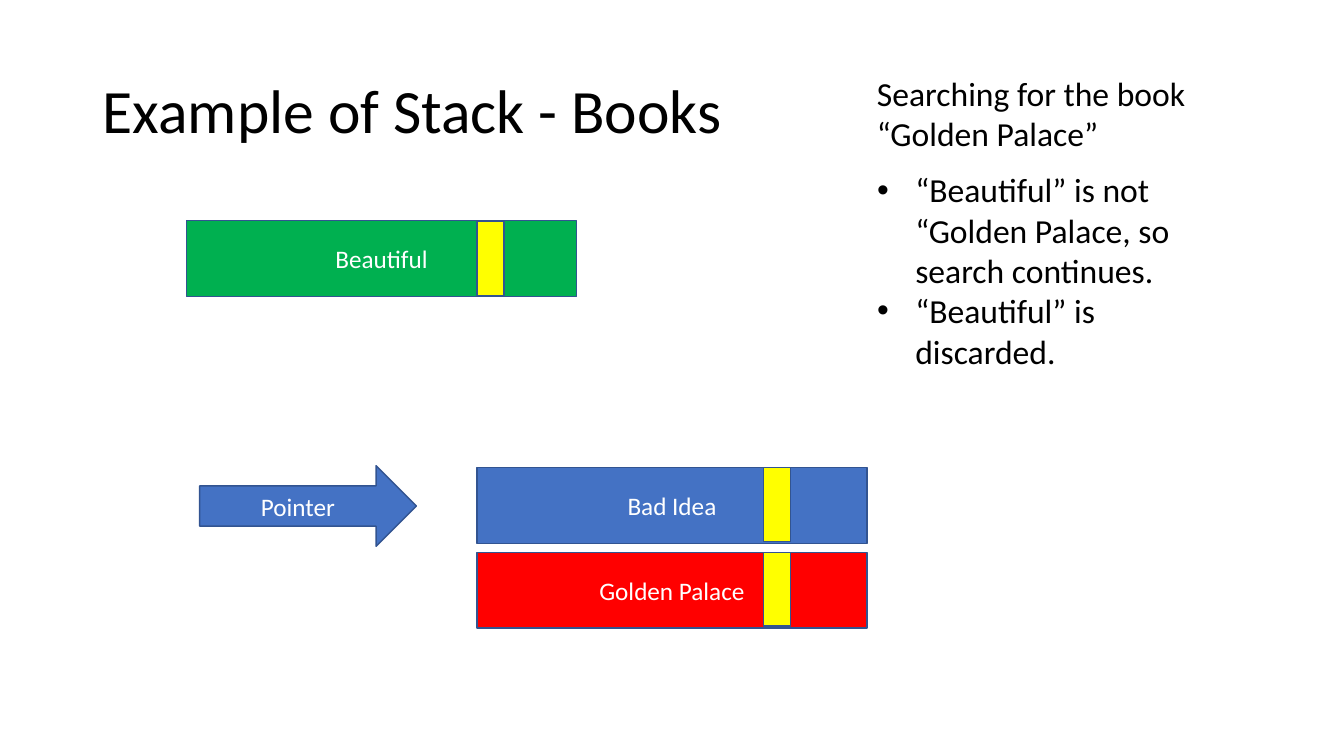
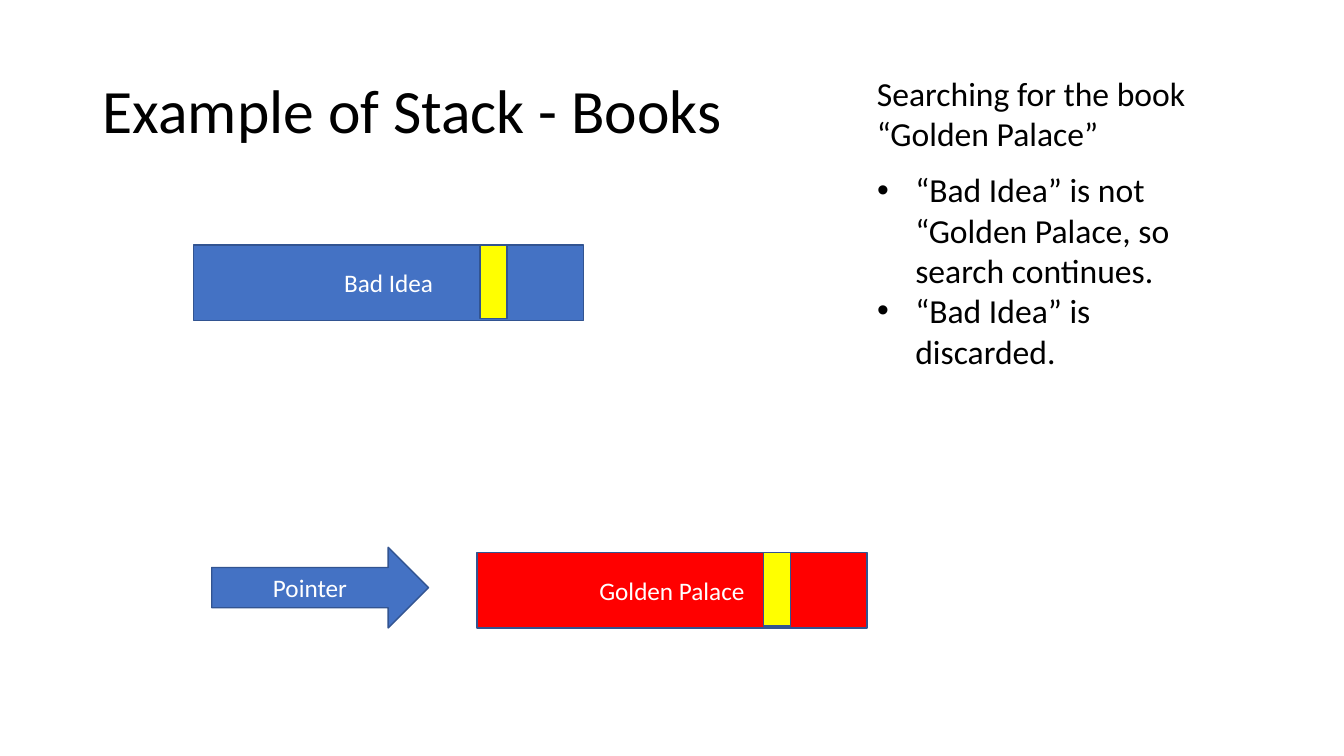
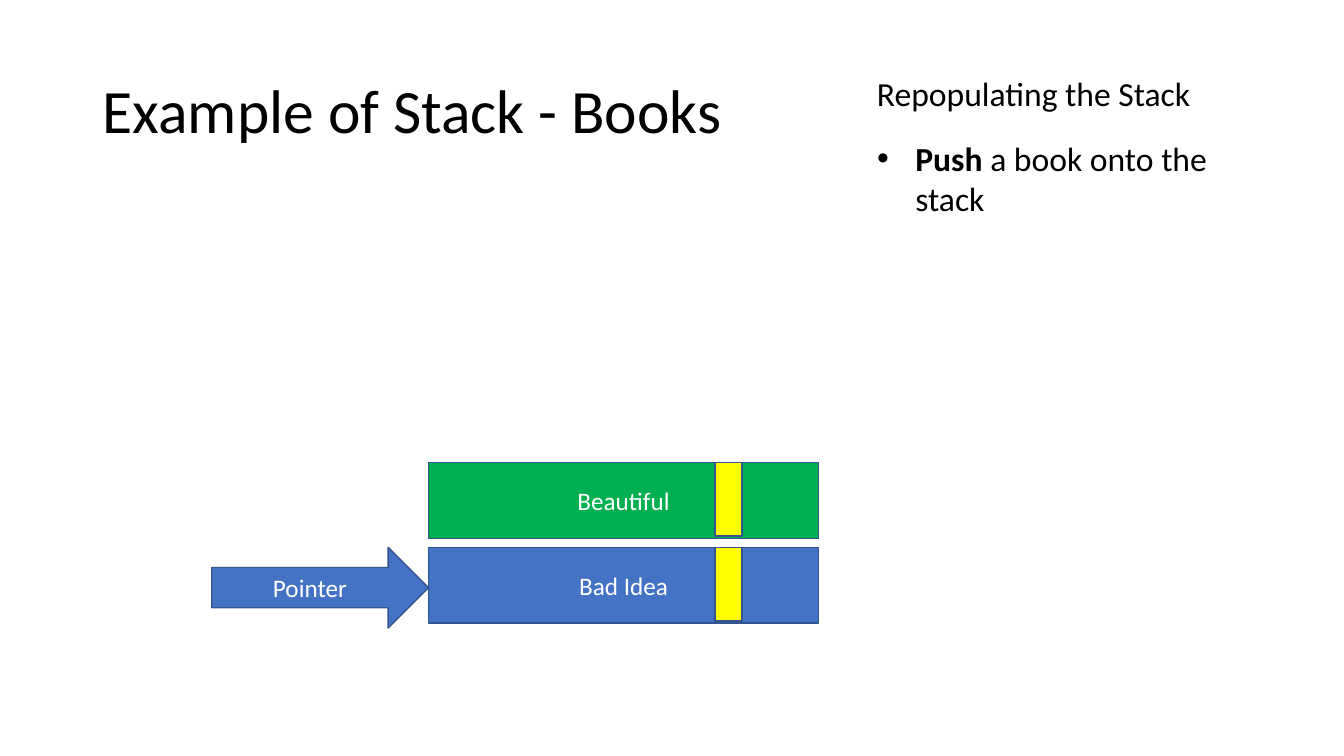
from lxml.etree import SubElement
from pptx import Presentation
from pptx.dml.color import RGBColor
from pptx.enum.shapes import MSO_SHAPE
from pptx.enum.text import MSO_ANCHOR, PP_ALIGN
from pptx.oxml.ns import qn
from pptx.util import Inches, Pt

COLORS = {
    "text": "000000",
    "label": "FFFFFF",
    "outline": "325491",
    "blue": "4472C4",
    "green": "00B050",
    "red": "FF0000",
    "yellow": "FFFF00",
}
BOOKS = {"Beautiful": "green", "Bad Idea": "blue", "Golden Palace": "red"}


class StackDeck:
    """Holds the shared style and the slide being filled."""

    FONT = "Calibri"
    TITLE = "Example of Stack - Books"
    NOTES_LEFT = 8.6

    def __init__(self):
        """Start an empty widescreen deck."""
        self.deck = Presentation()
        self.deck.slide_width = Inches(13.33)
        self.deck.slide_height = Inches(7.5)
        self.slide = None

    def color(self, name):
        """Return a named colour."""
        return RGBColor.from_string(COLORS[name])

    def style(self, paragraph, size, color="text"):
        """Set the font of a whole paragraph."""
        font = paragraph.font
        font.name = self.FONT
        font.size = Pt(size)
        font.color.rgb = self.color(color)

    def text_frame(self, left, top, width, height):
        """Add a wrapping text box and return its text frame."""
        box = self.slide.shapes.add_textbox(
            Inches(left), Inches(top), Inches(width), Inches(height))
        box.text_frame.word_wrap = True
        return box.text_frame

    def new_slide(self):
        """Add a blank slide with the shared title."""
        self.slide = self.deck.slides.add_slide(self.deck.slide_layouts[6])
        frame = self.text_frame(0.92, 0.4, 11.5, 1.45)
        frame.vertical_anchor = MSO_ANCHOR.MIDDLE
        title = frame.paragraphs[0]
        title.text = self.TITLE
        title.line_spacing = 0.9
        self.style(title, 44)

    def heading(self, text, height=0.91):
        """Add the heading above the side notes."""
        line = self.text_frame(self.NOTES_LEFT, 0.67, 3.67, height).paragraphs[0]
        line.text = text
        self.style(line, 24)

    def bullets(self, items, top=1.63, height=2.12):
        """Add bulleted notes, each a pair of bold lead and plain rest."""
        frame = self.text_frame(self.NOTES_LEFT, top, 3.48, height)
        for index, (lead, rest) in enumerate(items):
            item = frame.add_paragraph() if index else frame.paragraphs[0]
            properties = item._p.get_or_add_pPr()
            properties.set("marL", str(Inches(0.38)))
            properties.set("indent", str(-Inches(0.38)))
            SubElement(properties, qn("a:buFont"), typeface="Arial")
            SubElement(properties, qn("a:buChar"), char="•")
            self.style(item, 24)
            if lead:
                strong = item.add_run()
                strong.text = lead
                strong.font.bold = True
            item.add_run().text = rest

    def block(self, kind, left, top, width, height, fill, label=""):
        """Add an outlined shape with an optional centred label."""
        shape = self.slide.shapes.add_shape(
            kind, Inches(left), Inches(top), Inches(width), Inches(height))
        shape.shadow.inherit = False
        shape.fill.solid()
        shape.fill.fore_color.rgb = self.color(fill)
        shape.line.color.rgb = self.color("outline")
        shape.line.width = Pt(1)
        if label:
            shape.text_frame.vertical_anchor = MSO_ANCHOR.MIDDLE
            caption = shape.text_frame.paragraphs[0]
            caption.text = label
            caption.alignment = PP_ALIGN.CENTER
            self.style(caption, 18, "label")

    def book(self, name, left, top, band=(2.84, 0)):
        """Add a book with a yellow band at the given offset."""
        across, down = band
        self.block(MSO_SHAPE.RECTANGLE, left, top, 3.87, 0.75, BOOKS[name], name)
        self.block(MSO_SHAPE.RECTANGLE, left + across, top + down,
                   0.27, 0.73, "yellow")

    def stack(self, names, left, bottom):
        """Pile books upwards, the first one at the bottom."""
        for level, name in enumerate(names):
            self.book(name, left, bottom - level * 0.84)

    def pointer(self, left, top):
        """Add the arrow that marks the current book."""
        self.block(MSO_SHAPE.RIGHT_ARROW, left, top, 2.15, 0.8, "blue", "Pointer")

    def search_step(self, discarded, height):
        """Start a slide on the search that discards one book."""
        self.new_slide()
        self.heading("Searching for the book “Golden Palace”")
        self.bullets([
            ("", f"“{discarded}” is not “Golden Palace, so search continues."),
            ("", f"“{discarded}” is discarded."),
        ], height=height)


def build():
    """Build the three slides and save them."""
    show = StackDeck()

    show.search_step("Beautiful", 2.12)
    show.stack(["Golden Palace", "Bad Idea"], 4.73, 5.48)
    show.book("Beautiful", 1.85, 2.19, band=(2.88, 0.01))
    show.pointer(1.98, 4.62)

    show.search_step("Bad Idea", 2.52)
    show.stack(["Golden Palace"], 4.73, 5.48)
    show.pointer(2.1, 5.43)
    show.book("Bad Idea", 1.92, 2.43)

    show.new_slide()
    show.heading("Repopulating the Stack", height=0.5)
    show.pointer(2.1, 5.43)
    show.bullets([("Push", " a book onto the stack")], top=1.32, height=0.91)
    show.stack(["Bad Idea", "Beautiful"], 4.25, 5.43)

    show.deck.save("out.pptx")


build()
